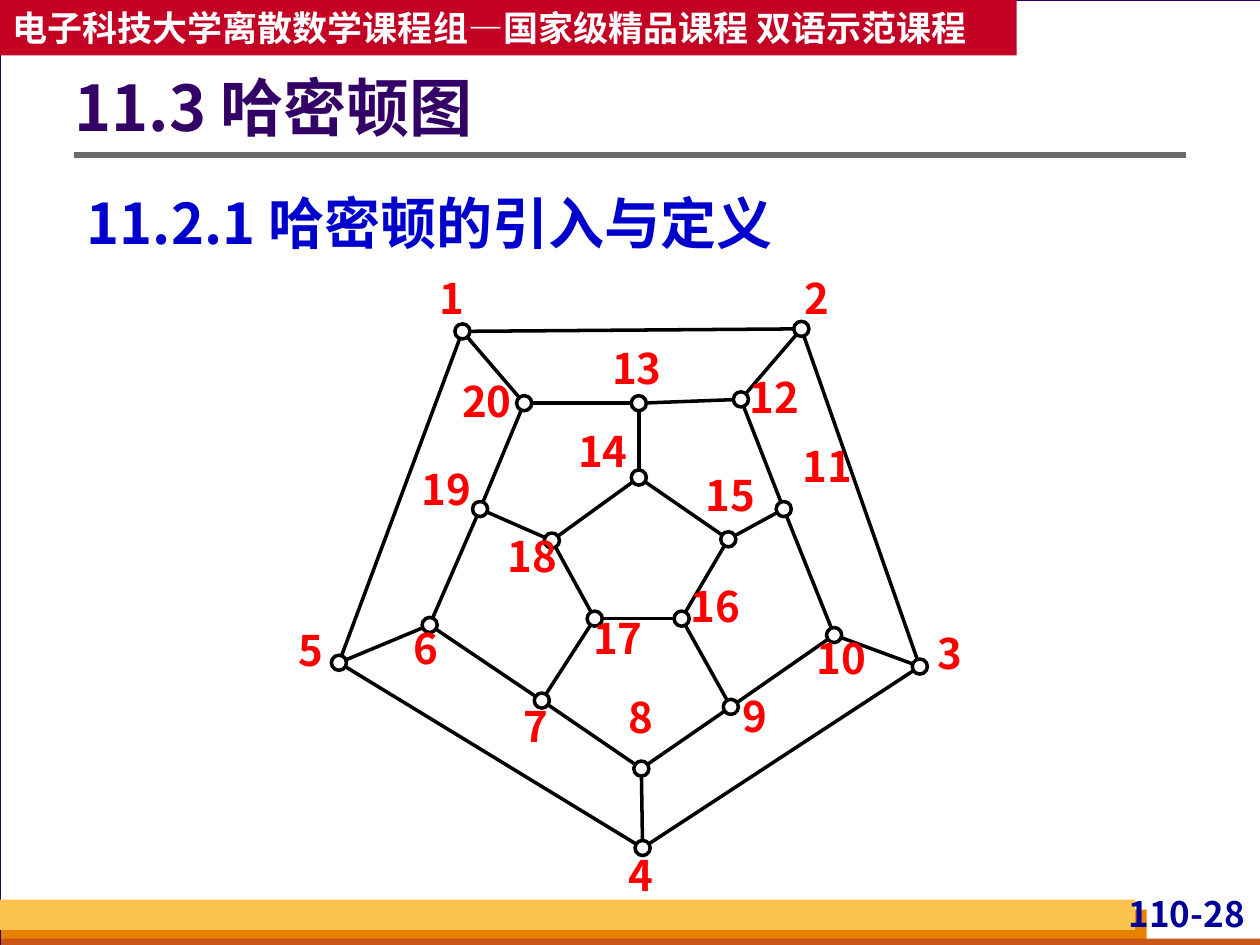
import math
import pptx
import pptx.util
import pptx.dml.color
import pptx.enum.shapes
import pptx.enum.text
import pptx.oxml.ns
from lxml import etree

Inches = pptx.util.Inches
Pt = pptx.util.Pt
Shape = pptx.enum.shapes.MSO_SHAPE
Align = pptx.enum.text.PP_ALIGN
Anchor = pptx.enum.text.MSO_ANCHOR

FONT = "Noto Sans CJK SC"
COLORS = {
    "back": "D8DADA", "white": "FFFFFF", "black": "000000",
    "frame": "330066", "orange": "E88000", "rust": "C95616",
    "gold": "FCC24F", "rule": "6B6B6B", "banner": "C30224",
    "page": "000099", "head": "0000CC", "label": "FF0000",
}
SIZE = 0.12    # node diameter
TRIM = 0.04    # edge end to node centre

# Vertex: centre x, y, then left and top of its label
NODES = {
    1: (3.67, 2.63, 3.47, 2.16), 2: (6.36, 2.61, 6.36, 2.16),
    3: (7.3, 5.29, 7.42, 4.98), 4: (5.1, 6.73, 4.97, 6.74),
    5: (2.69, 5.26, 2.35, 4.96), 6: (3.41, 4.96, 3.26, 4.94),
    7: (4.3, 5.56, 4.13, 5.56), 8: (5.09, 6.1, 4.97, 5.49),
    9: (5.8, 5.61, 5.87, 5.48), 10: (6.62, 5.04, 6.44, 5.02),
    11: (6.22, 4.04, 6.33, 3.5), 12: (5.88, 3.17, 5.91, 2.95),
    13: (5.07, 3.2, 4.82, 2.72), 14: (5.07, 3.79, 4.55, 3.38),
    15: (5.78, 4.28, 5.56, 3.73), 16: (5.41, 4.91, 5.44, 4.61),
    17: (4.72, 4.91, 4.67, 4.86), 18: (4.38, 4.29, 3.99, 4.21),
    19: (3.81, 4.04, 3.31, 3.68), 20: (4.16, 3.2, 3.63, 2.98),
}
# The Hamilton cycle runs 1, 2, ..., 20, 1; the other edges are chords
CYCLE = [(n, n % 20 + 1) for n in NODES]
CHORDS = [(1, 5), (2, 12), (3, 10), (4, 8), (6, 19),
          (7, 17), (9, 16), (11, 15), (13, 20), (14, 18)]


def color(name):
    return pptx.dml.color.RGBColor.from_string(COLORS[name])


def apply(item, values):
    for key, value in values.items():
        setattr(item, key, value)


def add_box(slide, kind, spot, fill, line=None, width=1):
    shape = slide.shapes.add_shape(kind, *map(Inches, spot))
    shape.shadow.inherit = False
    shape.fill.solid()
    shape.fill.fore_color.rgb = color(fill)
    if line:
        shape.line.color.rgb = color(line)
        shape.line.width = Pt(width)
    else:
        shape.line.fill.background()
    return shape


def add_line(slide, start, end, tint, width):
    line = slide.shapes.add_connector(
        pptx.enum.shapes.MSO_CONNECTOR.STRAIGHT,
        *map(Inches, (*start, *end)))
    line.line.color.rgb = color(tint)
    line.line.width = Pt(width)
    etree.SubElement(line._element.spPr, pptx.oxml.ns.qn("a:effectLst"))


def set_text(shape, text, size, tint, inset=(0.1, 0.05, 0.1, 0.05),
             anchor=Anchor.TOP, **layout):
    frame = shape.text_frame
    left, top, right, bottom = map(Inches, inset)
    apply(frame, {
        "word_wrap": True, "vertical_anchor": anchor,
        "margin_left": left, "margin_top": top,
        "margin_right": right, "margin_bottom": bottom,
    })
    para = frame.paragraphs[0]
    apply(para, {"alignment": Align.LEFT, **layout})
    run = para.add_run()
    run.text = text
    apply(run.font, {"name": FONT, "size": Pt(size), "bold": True})
    run.font.color.rgb = color(tint)
    # East Asian glyphs use the same face
    face = etree.SubElement(run.font._element, pptx.oxml.ns.qn("a:ea"))
    face.set("typeface", FONT)


def add_text(slide, spot, *args, **layout):
    box = slide.shapes.add_textbox(*map(Inches, spot))
    set_text(box, *args, **layout)


def add_edge(slide, a, b):
    (ax, ay), (bx, by) = NODES[a][:2], NODES[b][:2]
    part = TRIM / math.dist((ax, ay), (bx, by))
    dx, dy = (bx - ax) * part, (by - ay) * part
    add_line(slide, (ax + dx, ay + dy), (bx - dx, by - dy), "black", 2)


def add_frame(slide):
    rect = Shape.RECTANGLE
    add_box(slide, rect, (0, 0, 10.01, 7.5), "white", "frame", 0.75)
    # Footer bands and page number
    add_box(slide, rect, (0.01, 7.22, 9.09, 0.28), "orange")
    add_box(slide, rect, (0.01, 7.45, 10, 0.08), "rust")
    add_box(slide, rect, (0, 7.14, 9.01, 0.24), "gold")
    add_text(slide, (8.7, 7.08, 1.22, 0.38), "110-28", 20, "page",
             inset=(0.04, 0, 0.04, 0), alignment=Align.RIGHT)
    # Title rule and top banner
    add_line(slide, (0.59, 1.23), (9.41, 1.23), "rule", 3)
    banner = add_box(slide, rect, (0, 0, 8.07, 0.44), "banner")
    set_text(banner, "电子科技大学离散数学课程组—国家级精品课程 双语示范课程",
             20, "white", anchor=Anchor.MIDDLE)


def add_graph(slide):
    for a, b in CYCLE + CHORDS:
        add_edge(slide, a, b)
    for x, y, *_ in NODES.values():
        spot = (x - SIZE / 2, y - SIZE / 2, SIZE, SIZE)
        add_box(slide, Shape.OVAL, spot, "white", "black", 2)
    for n, (_, _, left, top) in NODES.items():
        wide = 0.24 if n < 10 else 0.47
        add_text(slide, (left, top, wide, 0.4), str(n), 24, "label",
                 inset=(0, 0, 0, 0), alignment=Align.CENTER)


def main():
    deck = pptx.Presentation()
    apply(deck, {"slide_width": Inches(10), "slide_height": Inches(7.5)})
    slide = deck.slides.add_slide(deck.slide_layouts[6])
    slide.background.fill.solid()
    slide.background.fill.fore_color.rgb = color("back")
    add_frame(slide)
    # Title and section heading
    add_text(slide, (0.59, 0.38, 8.82, 1.01), "11.3 哈密顿图", 36, "frame",
             inset=(0, 0.05, 0.1, 0.05), anchor=Anchor.MIDDLE,
             line_spacing=0.9)
    add_text(slide, (0.59, 1.34, 8.82, 0.74), "11.2.1 哈密顿的引入与定义",
             32, "head", alignment=Align.JUSTIFY, line_spacing=1.2)
    add_graph(slide)
    deck.save("out.pptx")


if __name__ == "__main__":
    main()
